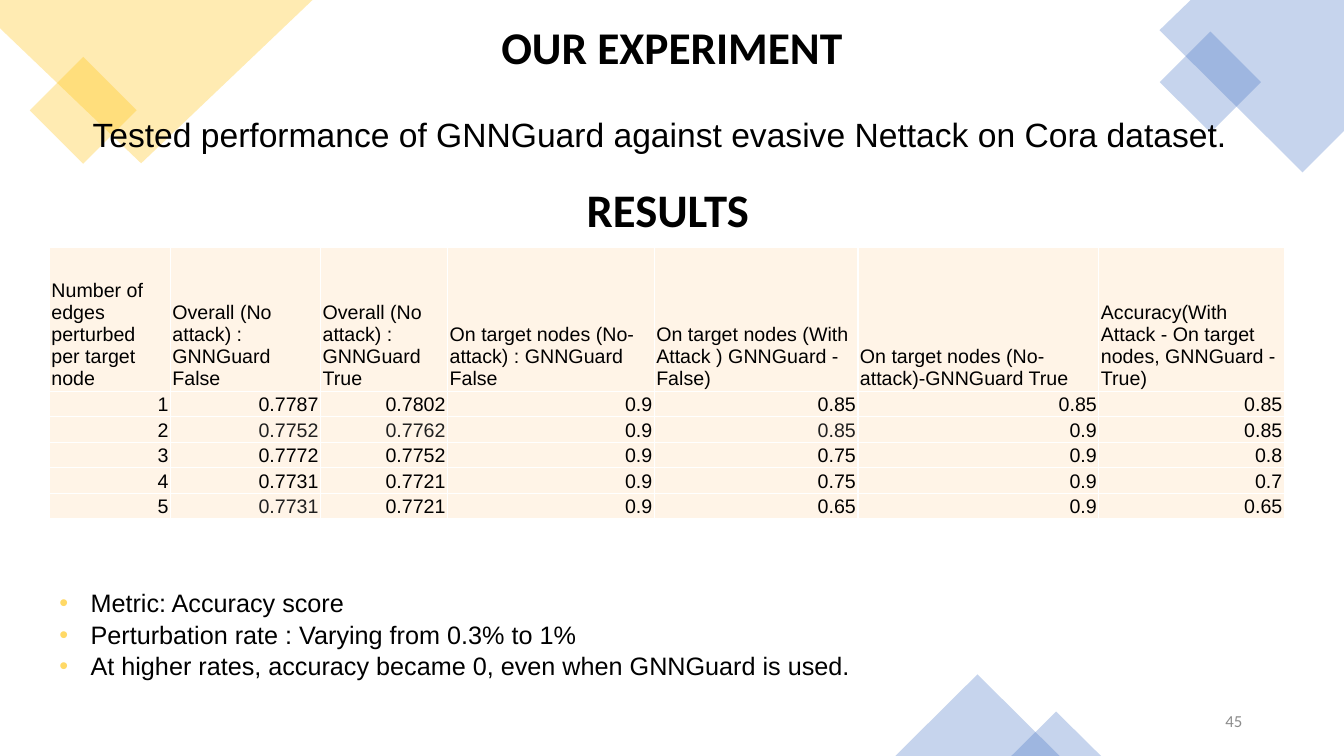
from dataclasses import dataclass

from lxml import etree
from pptx import Presentation
from pptx.dml.color import RGBColor
from pptx.enum import shapes, text
from pptx.oxml import ns
from pptx.util import Inches, Pt

BLACK = RGBColor(0x00, 0x00, 0x00)
DARK_GREY = RGBColor(0x21, 0x21, 0x21)
PAGE_GREY = RGBColor(0x8C, 0x8C, 0x8C)
AMBER = RGBColor(0xFF, 0xC0, 0x00)
BULLET_GOLD = RGBColor(0xFF, 0xD9, 0x66)
BLUE = RGBColor(0x44, 0x72, 0xC4)
CREAM = RGBColor(0xFF, 0xF4, 0xE7)
WHITE = RGBColor(0xFF, 0xFF, 0xFF)

SQUARE = shapes.MSO_SHAPE.RECTANGLE
TRIANGLE = shapes.MSO_SHAPE.ISOSCELES_TRIANGLE
LEFT, CENTER, RIGHT = text.PP_ALIGN.LEFT, text.PP_ALIGN.CENTER, text.PP_ALIGN.RIGHT
TOP, MIDDLE = text.MSO_ANCHOR.TOP, text.MSO_ANCHOR.MIDDLE


@dataclass
class Ornament:
    kind: shapes.MSO_SHAPE
    place: tuple[float, float, float, float]
    color: RGBColor
    rotation: float = 0


@dataclass
class Corner:
    points: list[tuple[float, float]]
    color: RGBColor


CORNERS = [
    Corner([(0, 0), (3.1, 0), (1.4, 1.62), (0, 0.28)], AMBER),
    Corner([(11.81, 0), (13.33, 0), (13.33, 1.3), (12.92, 1.71), (11.5, 0.3)], BLUE),
]
ORNAMENTS = [
    Ornament(SQUARE, (0.45, 0.72, 0.75, 0.75), AMBER, 45),
    Ornament(SQUARE, (11.65, 0.46, 0.71, 0.71), BLUE, 45),
    Ornament(TRIANGLE, (8.88, 6.69, 1.63, 0.81), BLUE),
    Ornament(TRIANGLE, (10.03, 7.06, 0.89, 0.44), BLUE),
]

COLUMN_WIDTHS = [1.2, 1.49, 1.26, 2.05, 2.02, 2.39, 1.84]
HEADER_HEIGHT, ROW_HEIGHT = 1.43, 0.24
RESULTS = [
    ["Number of edges perturbed per target node",
     "Overall (No attack) : GNNGuard False",
     "Overall (No attack) : GNNGuard True",
     "On target nodes (No-attack) : GNNGuard False",
     "On target nodes (With Attack ) GNNGuard - False)",
     "On target nodes (No-attack)-GNNGuard True",
     "Accuracy(With Attack - On target nodes, GNNGuard - True)"],
    ["1", "0.7787", "0.7802", "0.9", "0.85", "0.85", "0.85"],
    ["2", "0.7752", "0.7762", "0.9", "0.85", "0.9", "0.85"],
    ["3", "0.7772", "0.7752", "0.9", "0.75", "0.9", "0.8"],
    ["4", "0.7731", "0.7721", "0.9", "0.75", "0.9", "0.7"],
    ["5", "0.7731", "0.7721", "0.9", "0.65", "0.9", "0.65"],
]
GREY_CELLS = {(2, 1), (2, 2), (2, 4), (5, 1)}
FINDINGS = [
    "Metric: Accuracy score",
    "Perturbation rate : Varying from 0.3% to 1%",
    "At higher rates, accuracy became 0, even when GNNGuard is used.",
]


def inches(values) -> list:
    return [Inches(value) for value in values]


def add_color(parent, color: RGBColor) -> None:
    etree.SubElement(parent, ns.qn("a:srgbClr"), val=str(color))


def paint(shape, color: RGBColor) -> None:
    """Fill a shape at 30 % opacity, with no outline or shadow."""
    shape.shadow.inherit = False
    shape.line.fill.background()
    shape.fill.solid()
    shape.fill.fore_color.rgb = color
    swatch = shape.fill._xPr.find(".//" + ns.qn("a:srgbClr"))
    etree.SubElement(swatch, ns.qn("a:alpha"), val="30000")


def add_bullet(para) -> None:
    properties = para._p.get_or_add_pPr()
    indent = Inches(0.31)
    properties.set("marL", str(indent))
    properties.set("indent", str(-indent))
    add_color(etree.SubElement(properties, ns.qn("a:buClr")), BULLET_GOLD)
    etree.SubElement(properties, ns.qn("a:buFont"), typeface="Arial")
    etree.SubElement(properties, ns.qn("a:buChar"), char="•")


def write(frame, content: str, *, size: float, font: str = "Arial",
          color: RGBColor = BLACK, bold: bool = False, align=LEFT,
          spacing: float = 1.0, bullet: bool = False) -> None:
    """Write each line of the content as one paragraph."""
    for index, line in enumerate(content.split("\n")):
        para = frame.add_paragraph() if index else frame.paragraphs[0]
        para.alignment = align
        para.line_spacing = spacing
        if bullet:
            add_bullet(para)
        span = para.add_run()
        span.text = line
        span.font.name = font
        span.font.size = Pt(size)
        span.font.bold = bold
        span.font.color.rgb = color


def add_text(page, place, content: str, *, anchor=TOP, **style) -> None:
    box = page.shapes.add_textbox(*inches(place))
    box.text_frame.word_wrap = True
    box.text_frame.vertical_anchor = anchor
    write(box.text_frame, content, **style)


def add_borders(cell) -> None:
    properties = cell._tc.get_or_add_tcPr()
    for index, side in enumerate(("lnL", "lnR", "lnT", "lnB")):
        line = etree.Element(ns.qn("a:" + side), w=str(Pt(1)))
        add_color(etree.SubElement(line, ns.qn("a:solidFill")), WHITE)
        properties.insert(index, line)


def add_results(page) -> None:
    height = HEADER_HEIGHT + ROW_HEIGHT * (len(RESULTS) - 1)
    place = inches((0.49, 2.45, sum(COLUMN_WIDTHS), height))
    table = page.shapes.add_table(len(RESULTS), len(COLUMN_WIDTHS), *place).table
    table.first_row = table.horz_banding = False
    for column, width in zip(table.columns, COLUMN_WIDTHS):
        column.width = Inches(width)
    for r, values in enumerate(RESULTS):
        table.rows[r].height = Inches(ROW_HEIGHT if r else HEADER_HEIGHT)
        for c, value in enumerate(values):
            cell = table.cell(r, c)
            cell.fill.solid()
            cell.fill.fore_color.rgb = CREAM
            cell.vertical_anchor = text.MSO_ANCHOR.BOTTOM
            cell.margin_left = cell.margin_right = Inches(0.02)
            cell.margin_top = cell.margin_bottom = Inches(0.01)
            write(cell.text_frame, value, size=14, align=RIGHT if r else LEFT,
                  color=DARK_GREY if (r, c) in GREY_CELLS else BLACK)
            add_borders(cell)


def main() -> None:
    deck = Presentation()
    deck.slide_width, deck.slide_height = inches((13.33, 7.5))
    page = deck.slides.add_slide(deck.slide_layouts[5])

    # Title
    title = page.shapes.title
    title.left, title.top, title.width, title.height = inches((0.7, 0.2, 11.93, 0.48))
    title.text_frame.auto_size = text.MSO_AUTO_SIZE.NONE
    title.text_frame.vertical_anchor = TOP
    write(title.text_frame, "OUR EXPERIMENT", size=32.4, font="Calibri",
          bold=True, align=CENTER, spacing=0.9)

    # Corner decoration
    for corner in CORNERS:
        points = [tuple(inches(point)) for point in corner.points]
        builder = page.shapes.build_freeform(*points[0])
        builder.add_line_segments(points[1:], close=True)
        paint(builder.convert_to_shape(), corner.color)
    for ornament in ORNAMENTS:
        shape = page.shapes.add_shape(ornament.kind, *inches(ornament.place))
        shape.rotation = ornament.rotation
        paint(shape, ornament.color)

    # Experiment and results
    add_text(page, (0.82, 1.13, 11.93, 0.46),
             "Tested performance of GNNGuard against evasive Nettack on Cora dataset.",
             size=24, spacing=0.9, anchor=MIDDLE)
    add_text(page, (0.66, 1.84, 11.93, 0.57), "RESULTS", size=33.3, font="Calibri",
             bold=True, align=CENTER, spacing=0.8, anchor=MIDDLE)
    add_results(page)

    # Findings and page number
    add_text(page, (0.49, 5.77, 8.21, 1.01), "\n".join(FINDINGS), size=18,
             spacing=1.04, bullet=True)
    add_text(page, (9.42, 6.95, 3, 0.4), "45", size=12, font="Calibri",
             color=PAGE_GREY, align=RIGHT, anchor=MIDDLE)

    deck.save("out.pptx")


if __name__ == "__main__":
    main()
